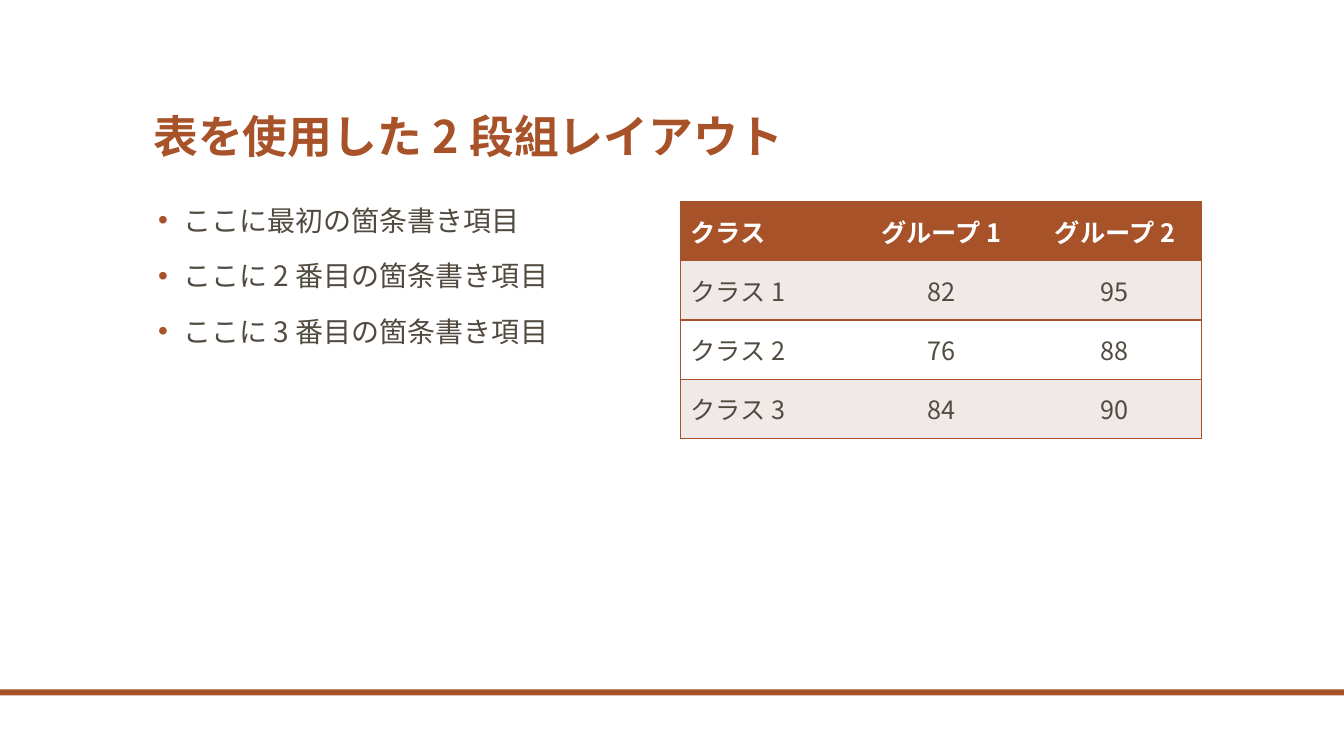
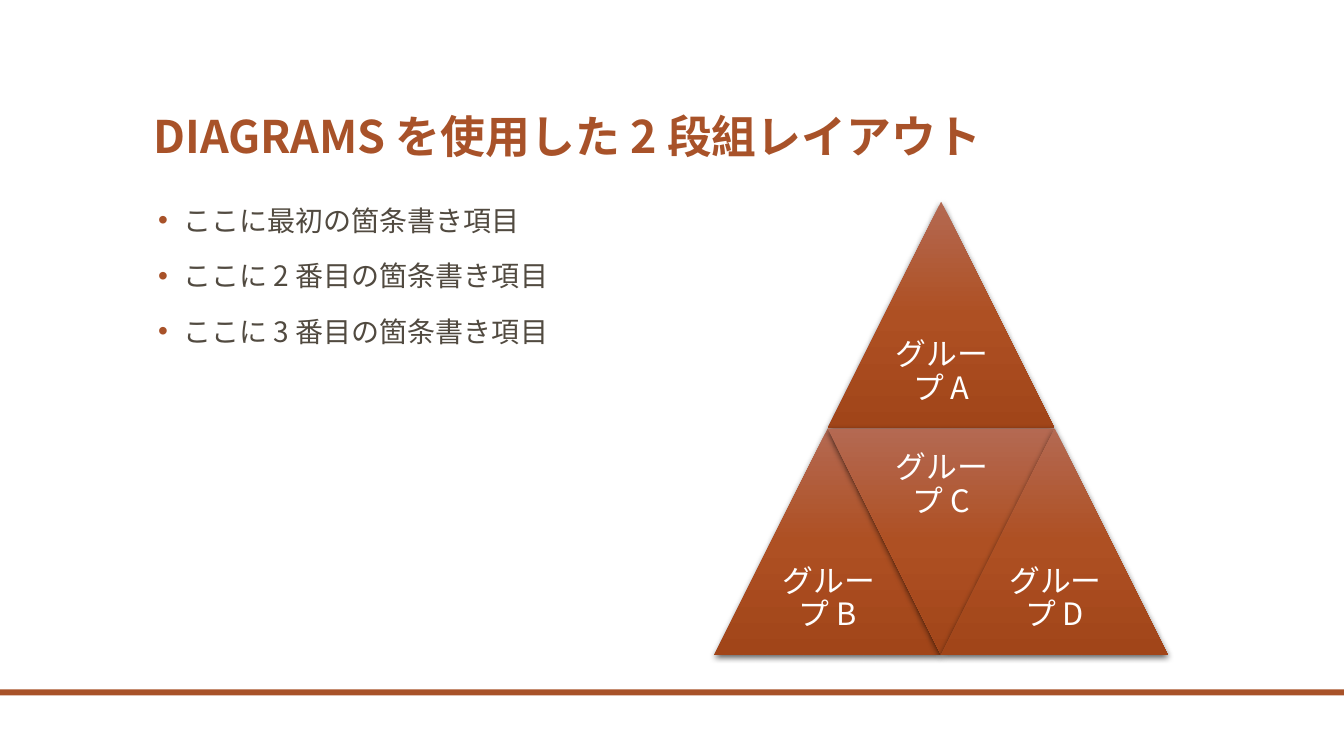
from lxml import etree
from pptx import Presentation
from pptx import util as u
from pptx.dml.color import RGBColor
from pptx.enum import shapes, text
from pptx.oxml import parse_xml
from pptx.oxml.ns import nsdecls, qn

FONT = "Noto Sans CJK JP"
ACCENT, INK, TINT, WHITE = "A85229", "514A40", "F1E9E8", "FFFFFF"
GRADIENT = [(0, "B46952"), (50, "AE5023"), (100, "A14519")]

WIDTH, HEIGHT = 13.33, 7.5
LEFT, COLUMN, TOP = 1.42, 5.17, 2
RIGHT = 6.75
TABLE_HEIGHT = 2.35
SIDE = 2.25

TITLES = ["表を使用した 2 段組レイアウト", "DIAGRAMS を使用した 2 段組レイアウト"]
BULLETS = ["ここに最初の箇条書き項目", "ここに 2 番目の箇条書き項目", "ここに 3 番目の箇条書き項目"]
SCORES = [
    ("クラス", "グループ 1", "グループ 2"),
    ("クラス 1", "82", "95"),
    ("クラス 2", "76", "88"),
    ("クラス 3", "84", "90"),
]
UP, DOWN = shapes.MSO_SHAPE.ISOSCELES_TRIANGLE, shapes.MSO_SHAPE.FLOWCHART_MERGE
PYRAMID = [
    ("グループ A", UP, 1, 0),
    ("グループ B", UP, 0, 1),
    ("グループ C", DOWN, 1, 1),
    ("グループ D", UP, 2, 1),
]


def color(value):
    """Turn a hex string into a colour."""
    return RGBColor.from_string(value)


def box(*lengths):
    """Turn inches into a tuple of lengths."""
    return tuple(u.Inches(length) for length in lengths)


def write(frame, lines, size, ink, bold=False, align="LEFT", anchor="TOP",
          spacing=None, before=0, bullet=False):
    """Fill a text frame with one formatted paragraph for each line."""
    frame.word_wrap = True
    frame.vertical_anchor = getattr(text.MSO_ANCHOR, anchor)
    for index, line in enumerate(lines):
        paragraph = frame.add_paragraph() if index else frame.paragraphs[0]
        paragraph.alignment = getattr(text.PP_ALIGN, align)
        paragraph.space_before = u.Pt(before)
        if spacing:
            paragraph.line_spacing = u.Pt(spacing)
        run = paragraph.add_run()
        run.text = line
        run.font.name, run.font.size, run.font.bold = FONT, u.Pt(size), bold
        run.font.color.rgb = color(ink)
        east_asian = etree.SubElement(run.font._element, qn("a:ea"))
        east_asian.set("typeface", FONT)
        if bullet:
            properties = paragraph._p.get_or_add_pPr()
            properties.set("marL", str(u.Inches(0.3)))
            properties.set("indent", str(u.Inches(-0.25)))
            for tag in (f'<a:buClr {nsdecls("a")}><a:srgbClr val="{ACCENT}"/></a:buClr>',
                        f'<a:buFont {nsdecls("a")} typeface="Arial"/>',
                        f'<a:buChar {nsdecls("a")} char="•"/>'):
                properties.append(parse_xml(tag))


def add_base(presentation, title):
    """Add a slide with its title, footer band and bullet column."""
    slide = presentation.slides.add_slide(presentation.slide_layouts[5])
    band = slide.shapes.add_shape(shapes.MSO_SHAPE.RECTANGLE, *box(0, 6.84, WIDTH, 0.06))
    band.shadow.inherit = False
    band.fill.solid()
    band.fill.fore_color.rgb = color(ACCENT)
    band.line.fill.background()

    heading = slide.shapes.title
    heading.left, heading.top, heading.width, heading.height = box(LEFT, 0.42, 10.5, 1.25)
    heading.text_frame.auto_size = text.MSO_AUTO_SIZE.NONE
    heading.text_frame.margin_bottom = u.Inches(0.06)
    write(heading.text_frame, [title], 32, ACCENT, bold=True, anchor="BOTTOM")

    body = slide.shapes.add_textbox(*box(LEFT, TOP, COLUMN, 4.5))
    write(body.text_frame, BULLETS, 20, INK, spacing=21.6, before=18, bullet=True)
    return slide


def set_borders(cell, visible):
    """Draw the named sides of a cell and hide the others."""
    for side in "LRTB":
        paint = (f'<a:solidFill><a:srgbClr val="{ACCENT}"/></a:solidFill>'
                 if side in visible else "<a:noFill/>")
        cell._tc.get_or_add_tcPr().append(parse_xml(
            f'<a:ln{side} {nsdecls("a")} w="{u.Pt(1)}">{paint}</a:ln{side}>'))


def add_scores(slide):
    """Add the table of scores."""
    rows, columns = len(SCORES), len(SCORES[0])
    table = slide.shapes.add_table(
        rows, columns, *box(RIGHT, TOP, COLUMN, TABLE_HEIGHT)).table
    for r, record in enumerate(SCORES):
        table.rows[r].height = u.Inches(TABLE_HEIGHT / rows)
        for c, value in enumerate(record):
            cell = table.cell(r, c)
            set_borders(cell, "TB" + "L" * (c == 0) + "R" * (c == columns - 1))
            cell.fill.solid()
            cell.fill.fore_color.rgb = color(ACCENT if r == 0 else TINT if r % 2 else WHITE)
            write(cell.text_frame, [value], 18, INK if r else WHITE, bold=r == 0,
                  align="CENTER" if c else "LEFT")
            cell.vertical_anchor = text.MSO_ANCHOR.MIDDLE


def add_pyramid(slide):
    """Add the four triangles that make up the pyramid."""
    start = RIGHT + COLUMN / 2 - SIDE
    for label, kind, step, level in PYRAMID:
        triangle = slide.shapes.add_shape(
            kind, *box(start + step * SIDE / 2, TOP + level * SIDE, SIDE, SIDE))
        triangle.line.fill.background()
        triangle.fill.gradient()
        triangle.fill.gradient_angle = 270
        stops = triangle._element.spPr.find(".//" + qn("a:gsLst"))
        for stop in list(stops):
            stops.remove(stop)
        for position, shade in GRADIENT:
            stops.append(parse_xml(
                f'<a:gs {nsdecls("a")} pos="{position * 1000}"><a:srgbClr val="{shade}"/></a:gs>'))
        triangle.shadow.inherit = False
        triangle._element.spPr.find(qn("a:effectLst")).append(parse_xml(
            f'<a:outerShdw {nsdecls("a")} blurRad="{u.Pt(4.5)}" dist="{u.Pt(1.5)}" '
            'dir="5400000" rotWithShape="0"><a:srgbClr val="000000">'
            '<a:alpha val="63000"/></a:srgbClr></a:outerShdw>'))
        frame = triangle.text_frame
        frame.margin_left = frame.margin_right = u.Inches(0.09)
        frame.margin_top = frame.margin_bottom = u.Inches(0.09)
        write(frame, [label], 22, WHITE, align="CENTER", anchor="MIDDLE", spacing=24)


def main():
    """Build and save the presentation."""
    presentation = Presentation()
    presentation.slide_width, presentation.slide_height = box(WIDTH, HEIGHT)
    for title, add_content in zip(TITLES, (add_scores, add_pyramid)):
        add_content(add_base(presentation, title))
    presentation.save("out.pptx")


if __name__ == "__main__":
    main()
